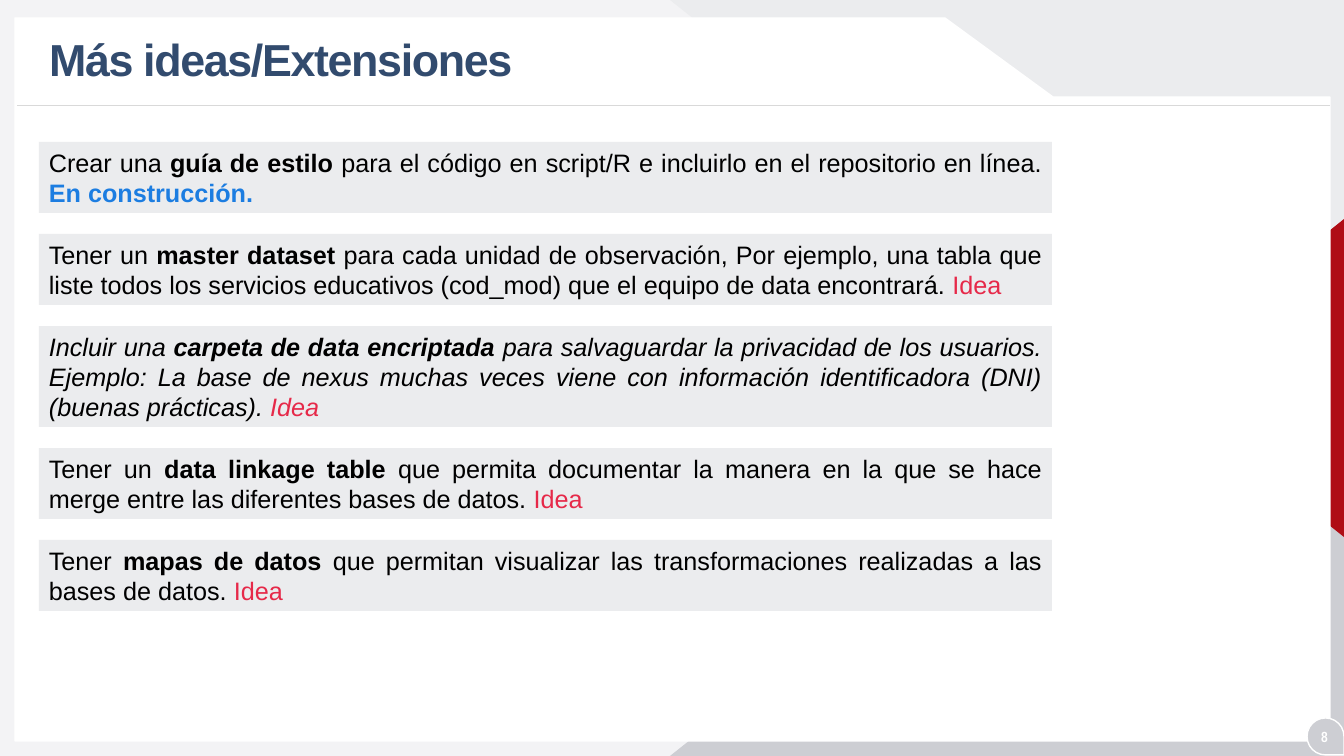
from lxml import etree
from pptx import Presentation
from pptx import util as u
from pptx.dml.color import RGBColor
from pptx.enum import shapes, text
from pptx.oxml.ns import qn

PX = 914400 / 100.8

WHITE = RGBColor(0xFF, 0xFF, 0xFF)
BLACK = RGBColor(0, 0, 0)
PALE = RGBColor(0xF3, 0xF3, 0xF5)
LIGHT = RGBColor(0xEB, 0xEC, 0xEE)
GREY = RGBColor(0xCD, 0xCE, 0xD3)
RULE = RGBColor(0xD9, 0xD9, 0xD9)
DARK_RED = RGBColor(0xAF, 0x0D, 0x15)
NAVY = RGBColor(0x32, 0x4B, 0x6E)
RED = RGBColor(0xE6, 0x29, 0x49)
BLUE = RGBColor(0x1C, 0x7D, 0xE1)

PANEL = [(15, 18), (945, 18), (1053, 97), (1330, 97), (1330, 741), (15, 741)]

# Each idea: opening, key term, explanation, status, line count
IDEAS = [
    ("Crear una ", "guía de estilo ",
     "para el código en script/R e incluirlo en el repositorio en línea. ",
     "En construcción.", 2),
    ("Tener un ", "master dataset ",
     "para cada unidad de observación, Por ejemplo, una tabla que liste todos "
     "los servicios educativos (cod_mod) que el equipo de data encontrará. ",
     "Idea", 2),
    ("Incluir una ", "carpeta de data encriptada ",
     "para salvaguardar la privacidad de los usuarios. Ejemplo: La base de nexus "
     "muchas veces viene con información identificadora (DNI) (buenas prácticas). ",
     "Idea", 3),
    ("Tener un ", "data linkage table ",
     "que permita documentar la manera en la que se hace merge entre las "
     "diferentes bases de datos. ", "Idea", 2),
    ("Tener ", "mapas de datos ",
     "que permitan visualizar las transformaciones realizadas a las bases de datos. ",
     "Idea", 2),
]
ITALIC_IDEA = 2
IDEAS_TOP, LINE_HEIGHT, BOX_PADDING, BOX_GAP = 142, 30, 11, 21


def px(value):
    return u.Emu(round(value * PX))


def paint(shape, fill, line=None):
    shape.shadow.inherit = False
    shape.fill.solid()
    shape.fill.fore_color.rgb = fill
    if line is None:
        shape.line.fill.background()
    else:
        shape.line.color.rgb = line
        shape.line.width = u.Pt(1)


def add_block(slide, kind, box, fill, line=None, rotation=0, apex=None):
    shape = slide.shapes.add_shape(kind, *map(px, box))
    paint(shape, fill, line)
    shape.rotation = rotation
    if apex is not None:
        shape.adjustments[0] = apex
    return shape


def style_run(run, size, color, bold=False, italic=False, name="Arial"):
    font = run.font
    font.name, font.size = name, u.Pt(size)
    font.bold, font.italic = bold, italic
    font.color.rgb = color


def add_background(slide):
    kinds = shapes.MSO_SHAPE
    triangle = kinds.ISOSCELES_TRIANGLE
    add_block(slide, kinds.RECTANGLE, (0, 0, 1344, 756), PALE)
    upper = add_block(slide, triangle, (670, 0, 674, 535), LIGHT, apex=1)
    upper._element.spPr.find(qn("a:xfrm")).set("flipV", "1")
    add_block(slide, triangle, (670, 221, 674, 535), GREY, apex=1)
    add_block(slide, triangle, (1086, 279, 318, 198), DARK_RED, rotation=270)

    # White panel with its cut corner
    builder = slide.shapes.build_freeform(*PANEL[0], scale=PX)
    builder.add_line_segments(PANEL[1:], close=True)
    paint(builder.convert_to_shape(), WHITE, WHITE)

    # Rule under the title
    rule = slide.shapes.add_connector(
        shapes.MSO_CONNECTOR.STRAIGHT, px(1330), px(105), px(17), px(105))
    rule.line.color.rgb = RULE
    rule.line.width = u.Pt(0.5)
    etree.SubElement(rule._element.spPr, qn("a:effectLst"))


def add_title(slide, wording):
    title = slide.shapes.title
    title.left, title.top, title.width, title.height = map(px, (39, 22, 974, 80))
    frame = title.text_frame
    frame.text = wording
    frame.vertical_anchor = text.MSO_ANCHOR.MIDDLE
    paragraph = frame.paragraphs[0]
    paragraph.alignment = text.PP_ALIGN.LEFT
    paragraph.line_spacing = 0.9
    run = paragraph.runs[0]
    style_run(run, 32, NAVY, bold=True)
    run.font._element.set("spc", "-100")
    # Bring the title in front of the panel
    slide.shapes._spTree.append(title._element)


def add_page_number(slide, number):
    add_block(slide, shapes.MSO_SHAPE.TEAR, (1307, 718, 37, 37), GREY, WHITE, rotation=90)
    label = slide.shapes.add_textbox(*map(px, (1301, 723, 47, 28)))
    frame = label.text_frame
    frame.text = number
    frame.word_wrap = True
    frame.vertical_anchor = text.MSO_ANCHOR.MIDDLE
    paragraph = frame.paragraphs[0]
    paragraph.alignment = text.PP_ALIGN.CENTER
    style_run(paragraph.runs[0], 10.5, WHITE, bold=True, name="Arial Narrow")


def add_idea(slide, top, height, parts, italic):
    box = add_block(slide, shapes.MSO_SHAPE.RECTANGLE, (39, top, 1013, height), LIGHT)
    frame = box.text_frame
    frame.word_wrap = True
    frame.vertical_anchor = text.MSO_ANCHOR.TOP
    paragraph = frame.paragraphs[0]
    paragraph.alignment = text.PP_ALIGN.JUSTIFY
    in_progress = parts[-1] != "Idea"
    status_color = BLUE if in_progress else RED
    colors = (BLACK, BLACK, BLACK, status_color)
    bolds = (False, True, False, in_progress)
    for wording, color, bold in zip(parts, colors, bolds):
        run = paragraph.add_run()
        run.text = wording
        style_run(run, 18, color, bold, italic)


def main():
    presentation = Presentation()
    presentation.slide_width, presentation.slide_height = px(1344), px(756)
    slide = presentation.slides.add_slide(presentation.slide_layouts[5])

    add_background(slide)
    add_title(slide, "Más ideas/Extensiones")
    add_page_number(slide, "8")

    # Stack of ideas, each as tall as its lines
    top = IDEAS_TOP
    for index, (*parts, lines) in enumerate(IDEAS):
        height = BOX_PADDING + LINE_HEIGHT * lines
        add_idea(slide, top, height, parts, index == ITALIC_IDEA)
        top += height + BOX_GAP

    presentation.save("out.pptx")


if __name__ == "__main__":
    main()
